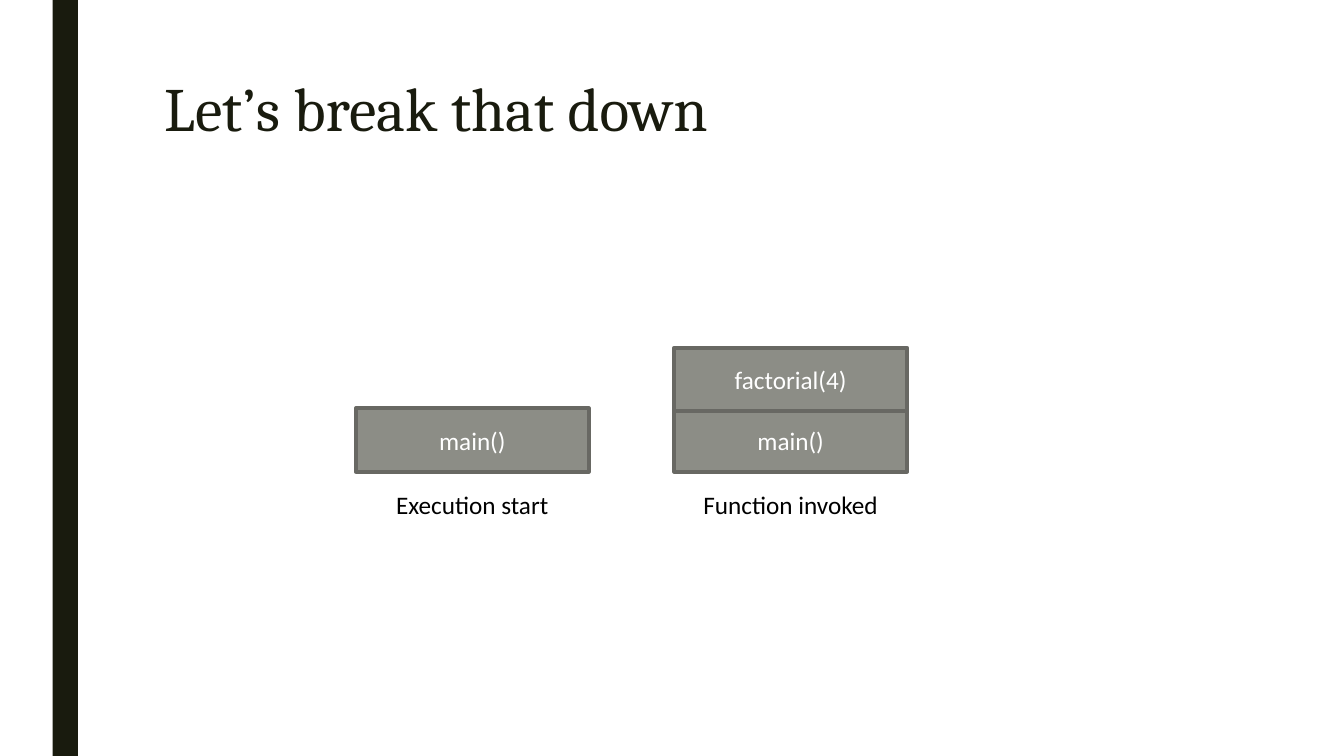
from pptx import Presentation
from pptx.dml.color import RGBColor
from pptx.enum.shapes import MSO_SHAPE as Shape
from pptx.enum.text import MSO_ANCHOR as Anchor, PP_ALIGN as Align
from pptx.util import Pt

INK = RGBColor(0x19, 0x1B, 0x0E)
FRAME_FILL = RGBColor(0x8C, 0x8D, 0x86)
FRAME_LINE = RGBColor(0x68, 0x68, 0x63)
WHITE = RGBColor(0xFF, 0xFF, 0xFF)
BLACK = RGBColor(0x00, 0x00, 0x00)

FRAME_WIDTH, FRAME_HEIGHT = 166.3, 45.4
FRAME_TOP, FRAME_STEP = 291.6, 43.2
STACK_LEFT, STACK_STEP = 254.2, 227.4
CAPTION_TOP, CAPTION_WIDTH = 346.3, 145.4
STACKS = [
    ("Execution start", 28.8, ["main()"]),
    ("Function invoked", 51.1, ["main()", "factorial(4)"]),
]


def write(shape, text, *, size=18, font="Calibri", color=BLACK,
          align=Align.CENTER, anchor=Anchor.TOP, spacing=1.0):
    body = shape.text_frame
    body.word_wrap = True
    body.vertical_anchor = anchor
    para = body.paragraphs[0]
    para.alignment = align
    para.line_spacing = spacing
    span = para.add_run()
    span.text = text
    span.font.size = Pt(size)
    span.font.name = font
    span.font.color.rgb = color


class StackSlide:
    def __init__(self, page):
        self.page = page

    def rectangle(self, left, top, width, height, fill, line=None):
        box = self.page.shapes.add_shape(
            Shape.RECTANGLE, Pt(left), Pt(top), Pt(width), Pt(height))
        box.shadow.inherit = False
        box.fill.solid()
        box.fill.fore_color.rgb = fill
        if line is None:
            box.line.fill.background()
        else:
            box.line.color.rgb = line
            box.line.width = Pt(2.75)
        return box

    def label(self, text, left, top, width, height, **style):
        box = self.page.shapes.add_textbox(
            Pt(left), Pt(top), Pt(width), Pt(height))
        write(box, text, **style)

    def stack(self, left, caption, caption_height, calls):
        for level, call in enumerate(calls):
            frame = self.rectangle(left, FRAME_TOP - level * FRAME_STEP,
                                   FRAME_WIDTH, FRAME_HEIGHT,
                                   FRAME_FILL, FRAME_LINE)
            write(frame, call, color=WHITE, anchor=Anchor.MIDDLE)
        self.label(caption, left + (FRAME_WIDTH - CAPTION_WIDTH) / 2,
                   CAPTION_TOP, CAPTION_WIDTH, caption_height)


def main():
    deck = Presentation()
    deck.slide_width, deck.slide_height = Pt(960), Pt(540)
    slide = StackSlide(deck.slides.add_slide(deck.slide_layouts[6]))
    slide.rectangle(37.6, 0, 18, 540, INK)
    slide.label("Let’s break that down", 110.2, 52.6, 756, 116.6, size=44,
                font="Cambria", color=INK, align=Align.LEFT, spacing=0.89)
    for column, (caption, caption_height, calls) in enumerate(STACKS):
        slide.stack(STACK_LEFT + column * STACK_STEP,
                    caption, caption_height, calls)
    deck.save("out.pptx")


if __name__ == "__main__":
    main()
